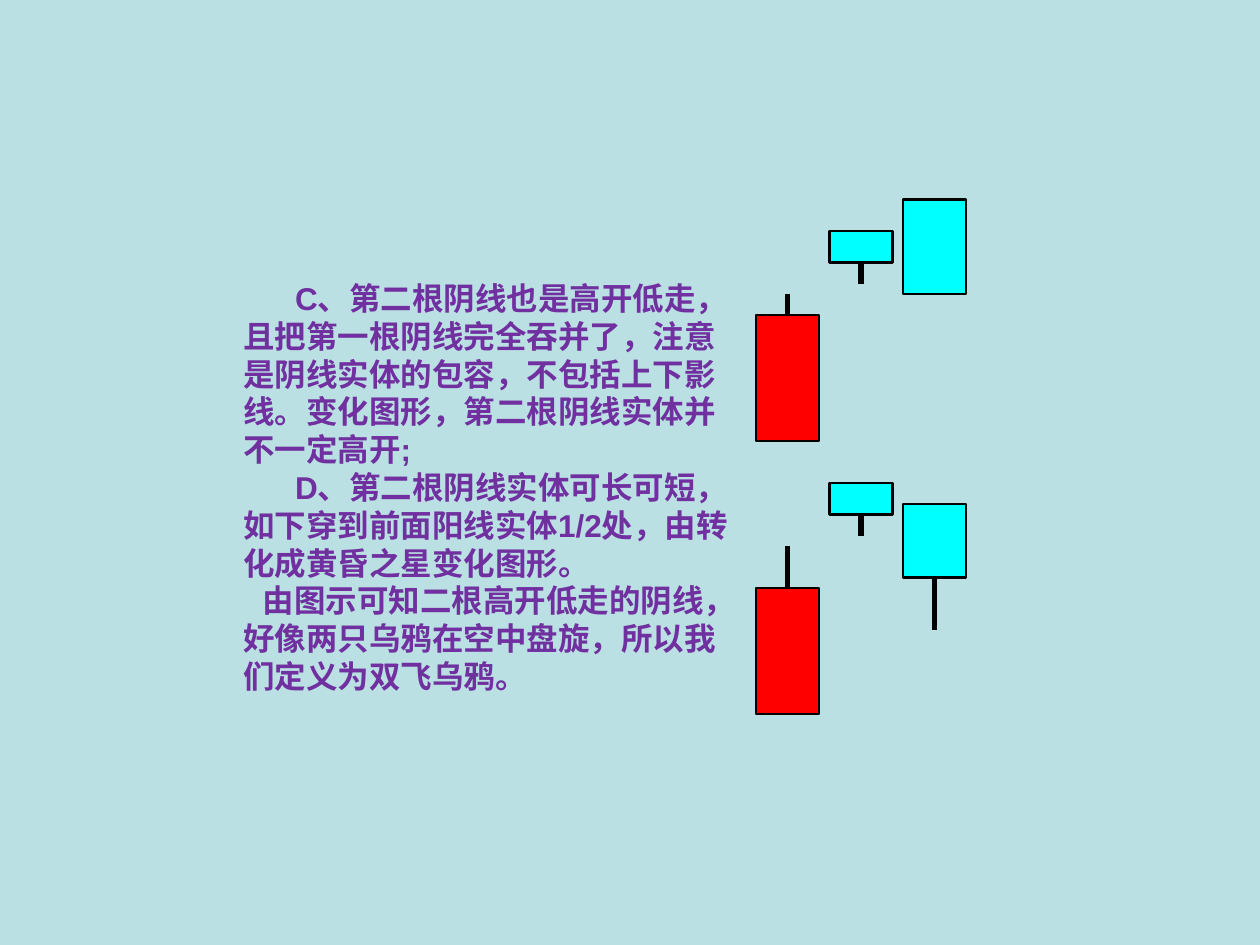
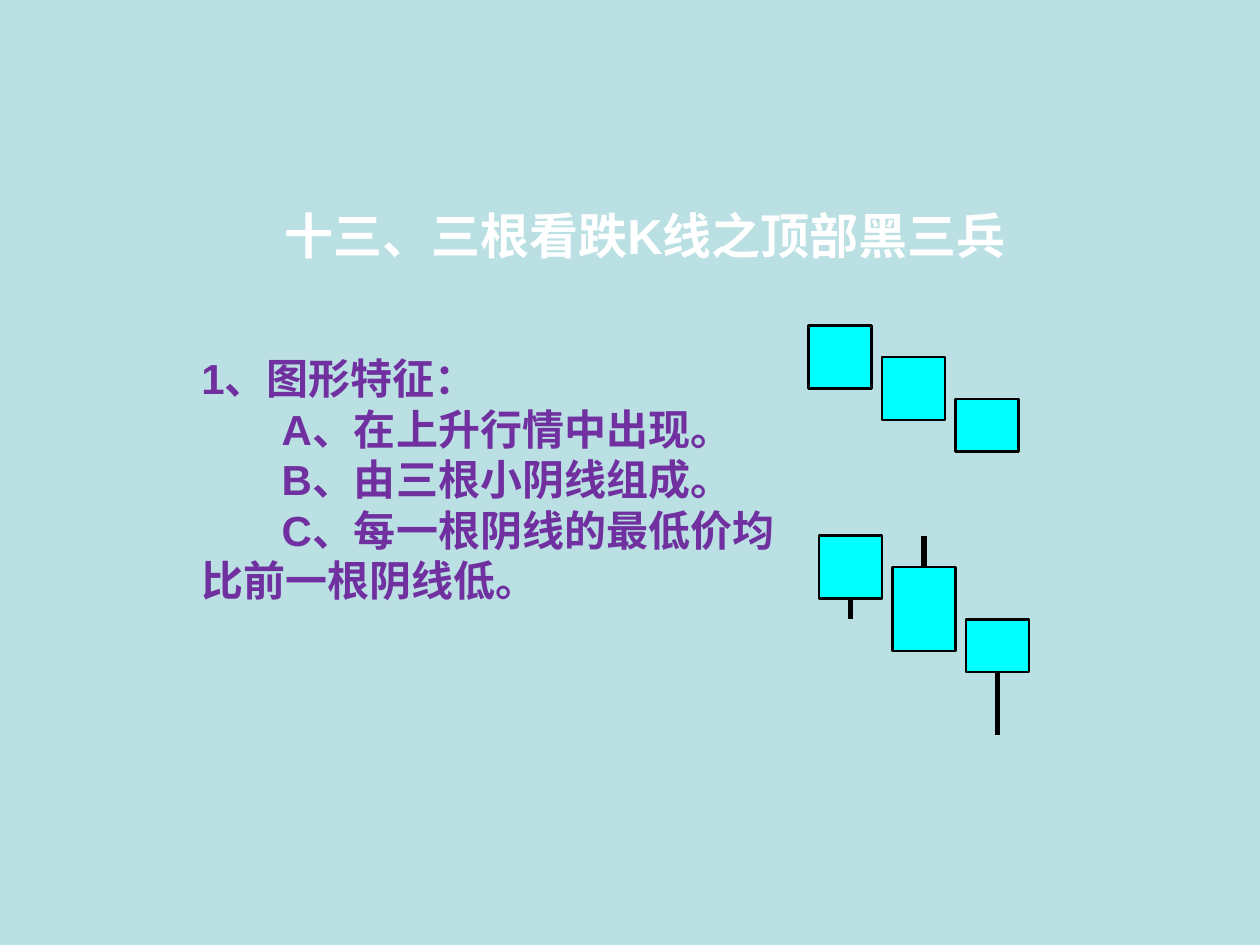
import pptx
import pptx.dml.color
import pptx.enum.shapes
import pptx.enum.text
import pptx.oxml.ns
import pptx.util
from lxml import etree

RGBColor = pptx.dml.color.RGBColor
Cm = pptx.util.Cm
Pt = pptx.util.Pt

BACKGROUND = RGBColor(0xBB, 0xE0, 0xE3)
TITLE = RGBColor(0xFF, 0xFF, 0xFF)
BODY = RGBColor(0x70, 0x30, 0xA0)
RISING = RGBColor(0xFF, 0x00, 0x00)
FALLING = RGBColor(0x00, 0xFF, 0xFF)
OUTLINE = RGBColor(0x00, 0x00, 0x00)

FONT = "Arial"
TITLE_ONLY, BLANK = 5, 6
GRID_CM = 2.54 / 12
CANDLE_WIDTH = 6
CANDLE_PITCH = 7


def grid(steps):
    return Cm(steps * GRID_CM)


def style_paragraph(paragraph, size, color):
    paragraph.alignment = pptx.enum.text.PP_ALIGN.LEFT
    for run in paragraph.runs:
        run.font.name = FONT
        run.font.size = Pt(size)
        run.font.bold = True
        run.font.color.rgb = color


def add_title(slide, text):
    title = slide.shapes.title
    title.left, title.top, title.width, title.height = Cm(5.49), Cm(4.01), Cm(15.49), Cm(1.45)
    frame = title.text_frame
    frame.text = text
    frame.word_wrap = False
    frame.auto_size = pptx.enum.text.MSO_AUTO_SIZE.NONE
    frame.vertical_anchor = pptx.enum.text.MSO_ANCHOR.TOP
    style_paragraph(frame.paragraphs[0], 28, TITLE)


def add_body(slide, left, top, width, height, size, entries):
    frame = slide.shapes.add_textbox(Cm(left), Cm(top), Cm(width), Cm(height)).text_frame
    frame.word_wrap = True
    frame.text = "\n".join(text for text, _ in entries)
    for paragraph, (_, indent) in zip(frame.paragraphs, entries):
        paragraph._p.get_or_add_pPr().set("indent", str(Cm(indent)))
        style_paragraph(paragraph, size, BODY)


def add_wick(slide, center, start, end):
    wick = slide.shapes.add_connector(
        pptx.enum.shapes.MSO_CONNECTOR.STRAIGHT,
        grid(center), grid(start), grid(center), grid(end))
    wick.line.color.rgb = OUTLINE
    wick.line.width = Pt(3)
    etree.SubElement(wick._element.spPr, pptx.oxml.ns.qn("a:effectLst"))


def add_candle(slide, left, color, high, top, bottom, low):
    candle = slide.shapes.add_shape(
        pptx.enum.shapes.MSO_SHAPE.RECTANGLE,
        grid(left), grid(top), grid(CANDLE_WIDTH), grid(bottom - top))
    candle.shadow.inherit = False
    candle.fill.solid()
    candle.fill.fore_color.rgb = color
    candle.line.color.rgb = OUTLINE
    candle.line.width = Pt(1.5)
    for start, end in ((high, top), (bottom, low)):
        if start < end:
            add_wick(slide, left + CANDLE_WIDTH / 2, start, end)


def add_pattern(slide, left, candles):
    for index, candle in enumerate(candles):
        add_candle(slide, left + index * CANDLE_PITCH, *candle)


def build_two_crows(presentation):
    slide = presentation.slides.add_slide(presentation.slide_layouts[BLANK])
    add_body(slide, 4.65, 5.5, 10.6, 9.4, 18, [
        ("C、第二根阴线也是高开低走，且把第一根阴线完全吞并了，注意是阴线实体的包容，"
         "不包括上下影线。变化图形，第二根阴线实体并不一定高开;", 1.05),
        ("D、第二根阴线实体可长可短，如下穿到前面阳线实体1/2处，"
         "由转化成黄昏之星变化图形。", 1.05),
        ("由图示可知二根高开低走的阴线，好像两只乌鸦在空中盘旋，"
         "所以我们定义为双飞乌鸦。", 0.4),
    ])
    add_pattern(slide, 72, [
        (RISING, 28, 30, 42, 42),
        (FALLING, 22, 22, 25, 27),
        (FALLING, 19, 19, 28, 28),
    ])
    add_pattern(slide, 72, [
        (RISING, 52, 56, 68, 68),
        (FALLING, 46, 46, 49, 51),
        (FALLING, 48, 48, 55, 60),
    ])


def build_three_soldiers(presentation):
    slide = presentation.slides.add_slide(presentation.slide_layouts[TITLE_ONLY])
    add_title(slide, "十三、三根看跌K线之顶部黑三兵")
    add_body(slide, 3.81, 6.99, 12.7, 5.33, 24, [
        ("1、图形特征：", 0),
        ("A、在上升行情中出现。", 1.62),
        ("B、由三根小阴线组成。", 1.62),
        ("C、每一根阴线的最低价均比前一根阴线低。", 1.62),
    ])
    add_pattern(slide, 77, [
        (FALLING, 31, 31, 37, 37),
        (FALLING, 34, 34, 40, 40),
        (FALLING, 38, 38, 43, 43),
    ])
    add_pattern(slide, 78, [
        (FALLING, 51, 51, 57, 59),
        (FALLING, 51, 54, 62, 62),
        (FALLING, 59, 59, 64, 70),
    ])


def main():
    presentation = pptx.Presentation()
    presentation.slide_width = Cm(25.4)
    presentation.slide_height = Cm(19.05)
    background = presentation.slide_master.background.fill
    background.solid()
    background.fore_color.rgb = BACKGROUND
    build_two_crows(presentation)
    build_three_soldiers(presentation)
    presentation.save("out.pptx")


if __name__ == "__main__":
    main()
